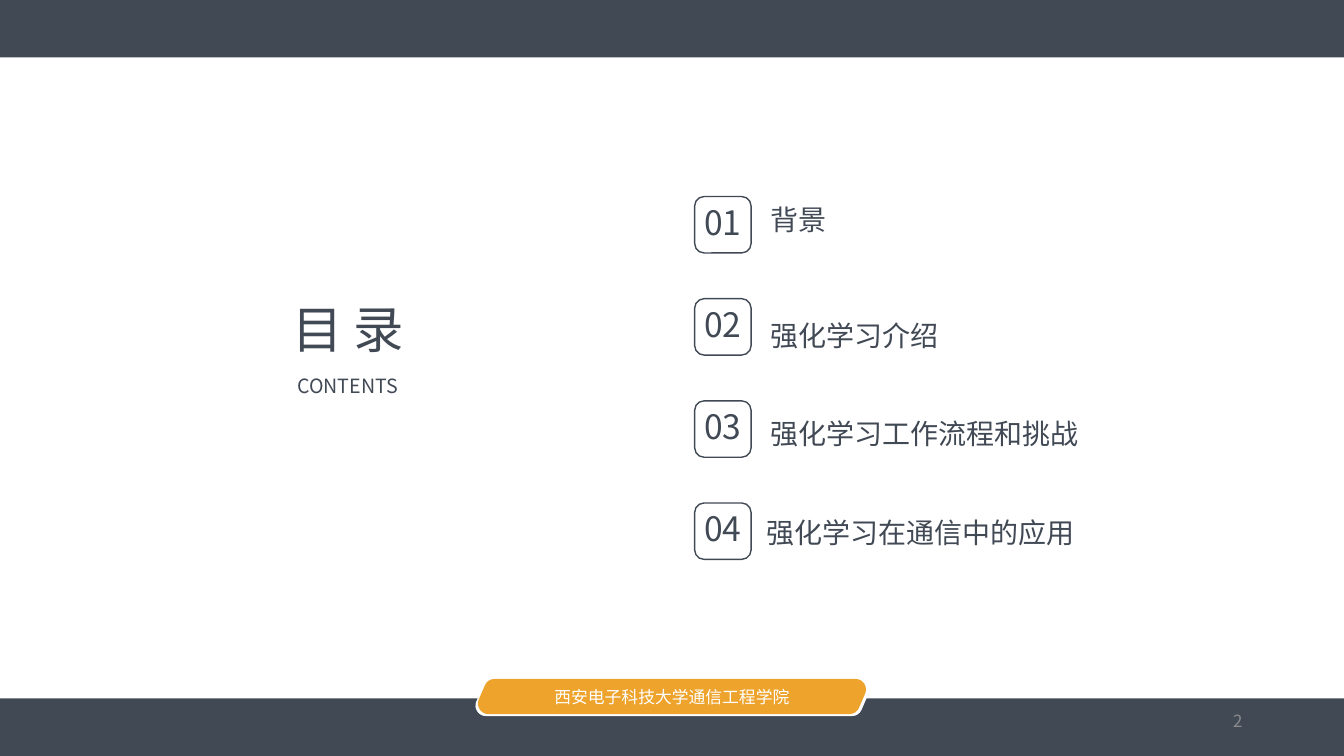
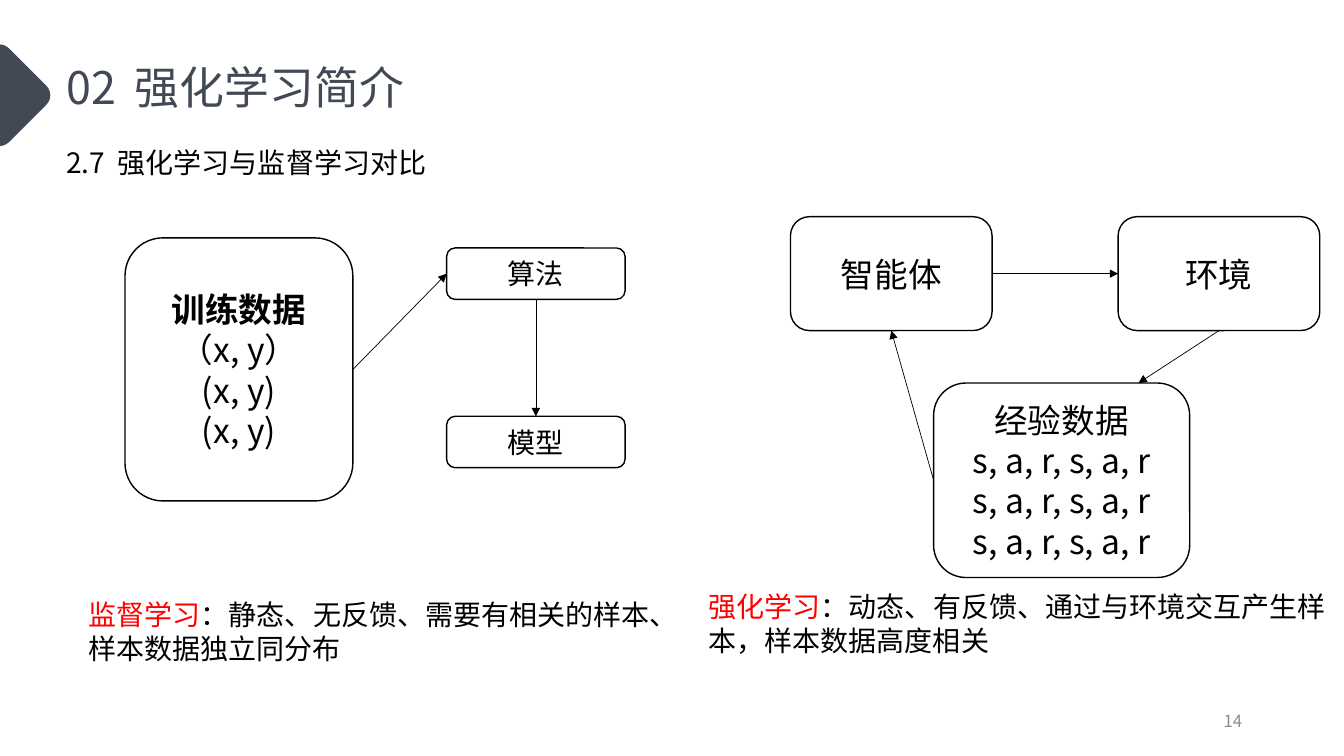
from dataclasses import dataclass

from pptx import Presentation
from pptx.dml.color import RGBColor
from pptx.enum.shapes import MSO_CONNECTOR, MSO_SHAPE
from pptx.enum.text import MSO_ANCHOR, PP_ALIGN
from pptx.oxml.ns import qn
from pptx.util import Inches, Pt
from lxml.etree import SubElement


@dataclass(frozen=True)
class Theme:
    font: str = "Noto Sans CJK SC"
    slate: str = "414955"
    amber: str = "EDA32C"
    white: str = "FFFFFF"
    black: str = "000000"
    red: str = "FF0000"
    grey: str = "8C8C8C"
    cover: int = 36
    title: int = 32
    large: int = 24
    body: int = 20
    caption: int = 14
    small: int = 12


THEME = Theme()
WIDTH, HEIGHT = 13.33, 7.5
BAND = 0.57

# Content: contents slide
HEADING, SUBHEADING = "目 录", "CONTENTS"
SCHOOL = "西安电子科技大学通信工程学院"
# chapter, left, top, line spacing
CHAPTERS = [
    ("背景", 7.54, 1.96, 1),
    ("强化学习介绍", 7.54, 2.86, 1.75),
    ("强化学习工作流程和挑战", 7.54, 3.83, 1.75),
    ("强化学习在通信中的应用", 7.5, 4.81, 1.75),
]
FIRST_BADGE, LAST_BADGE, BADGE = 1.95, 4.99, 0.56

# Content: comparison slide
TITLE, SECTION = "02\t强化学习简介", "2.7\t强化学习与监督学习对比"
# node: lines, (left, top, width, height), size, bold first line
NODES = {
    "training": (["训练数据", "（x, y）", "(x, y)", "(x, y)"],
                 (1.24, 2.36, 2.26, 2.61), THEME.large, True),
    "algorithm": (["算法"], (4.43, 2.46, 1.77, 0.51), THEME.body, False),
    "model": (["模型"], (4.43, 4.13, 1.77, 0.51), THEME.body, False),
    "agent": (["智能体"], (7.84, 2.15, 2, 1.13), THEME.large, False),
    "environment": (["环境"], (11.09, 2.15, 2, 1.13), THEME.large, False),
    "experience": (["经验数据"] + ["s, a, r, s, a, r"] * 3,
                   (9.26, 3.8, 2.54, 1.93), THEME.large, False),
}
# Points on a node as shares of its width and height
LEFT, RIGHT, TOP, BOTTOM = (0, 0.5), (1, 0.5), (0.5, 0), (0.5, 1)
ARROWS = [
    ("training", RIGHT, "algorithm", LEFT),
    ("algorithm", BOTTOM, "model", TOP),
    ("agent", RIGHT, "environment", LEFT),
    ("environment", BOTTOM, "experience", (0.8, 0)),
    ("experience", LEFT, "agent", BOTTOM),
]
SUMMARIES = [
    ("监督学习", "：静态、无反馈、需要有相关的样本、样本数据独立同分布",
     (0.78, 5.88, 6.15, 0.77)),
    ("强化学习", "：动态、有反馈、通过与环境交互产生样本，样本数据高度相关",
     (6.93, 5.8, 6.4, 0.77)),
]


def rgb(color):
    return RGBColor.from_string(color)


def style_run(run, size, color, bold=False):
    run.font.size, run.font.bold = Pt(size), bold
    run.font.name = THEME.font
    run.font.color.rgb = rgb(color)
    SubElement(run._r.get_or_add_rPr(), qn("a:ea")).set("typeface", THEME.font)


def write(shape, lines, size, color, align=PP_ALIGN.LEFT,
          anchor=MSO_ANCHOR.TOP, spacing=None, bold_first=False):
    frame = shape.text_frame
    frame.text = "\n".join(lines)
    frame.word_wrap, frame.vertical_anchor = True, anchor
    for index, paragraph in enumerate(frame.paragraphs):
        paragraph.alignment = align
        if spacing:
            paragraph.line_spacing = spacing
        for run in paragraph.runs:
            style_run(run, size, color, bold_first and index == 0)
    return frame


def add_text(slide, box, text, size, color, **layout):
    holder = slide.shapes.add_textbox(*map(Inches, box))
    return write(holder, [text], size, color, **layout)


def add_block(slide, kind, box, fill=None, line=None, weight=1):
    block = slide.shapes.add_shape(kind, *map(Inches, box))
    block.shadow.inherit = False
    if fill:
        block.fill.solid()
        block.fill.fore_color.rgb = rgb(fill)
    else:
        block.fill.background()
    if line:
        block.line.color.rgb = rgb(line)
        block.line.width = Pt(weight)
        SubElement(block.line._get_or_add_ln(), qn("a:round"))
    else:
        block.line.fill.background()
    return block


def add_arrow(slide, start, end):
    arrow = slide.shapes.add_connector(
        MSO_CONNECTOR.STRAIGHT, *map(Inches, start + end))
    arrow.line.color.rgb = rgb(THEME.black)
    arrow.line.width = Pt(0.5)
    SubElement(arrow.line._get_or_add_ln(), qn("a:tailEnd")).set("type", "triangle")
    SubElement(arrow._element.spPr, qn("a:effectLst"))


def add_tabbed_line(slide, box, text, size, color, stop):
    # The number and its heading are set apart by a tab stop
    paragraph = add_text(slide, box, text, size, color).paragraphs[0]
    stops = SubElement(paragraph._p.get_or_add_pPr(), qn("a:tabLst"))
    tab = SubElement(stops, qn("a:tab"))
    tab.set("pos", str(Inches(stop)))
    tab.set("algn", "l")


def add_page_number(slide, number):
    add_text(slide, (9.42, 6.95, 3, 0.4), str(number), THEME.small, THEME.grey,
             align=PP_ALIGN.RIGHT, anchor=MSO_ANCHOR.MIDDLE)


def point_on(node, share):
    left, top, width, height = NODES[node][1]
    return left + share[0] * width, top + share[1] * height


def build_contents(slide):
    # Bands and school banner
    for top in (0, HEIGHT - BAND):
        add_block(slide, MSO_SHAPE.RECTANGLE, (0, top, WIDTH, BAND), THEME.slate)
    for color, width, top in ((THEME.white, 3.69, 6.86), (THEME.amber, 3.64, 6.84)):
        banner = add_block(slide, MSO_SHAPE.PARALLELOGRAM,
                           ((WIDTH - width) / 2, top, width, 0.14), color, color, 15)
        banner.adjustments[0] = 0.43
    add_text(slide, (5.25, 6.74, 2.83, 0.34), SCHOOL, THEME.small, THEME.white,
             align=PP_ALIGN.CENTER, anchor=MSO_ANCHOR.MIDDLE)

    # Heading
    add_text(slide, (2.8, 2.91, 1.55, 0.71), HEADING, THEME.cover, THEME.slate,
             align=PP_ALIGN.JUSTIFY)
    add_text(slide, (2.85, 3.66, 1.43, 0.34), SUBHEADING, THEME.caption,
             THEME.slate, align=PP_ALIGN.JUSTIFY)

    # Numbered chapters
    step = (LAST_BADGE - FIRST_BADGE) / (len(CHAPTERS) - 1)
    for index, (chapter, left, top, spacing) in enumerate(CHAPTERS):
        badge = add_block(slide, MSO_SHAPE.ROUNDED_RECTANGLE,
                          (6.89, FIRST_BADGE + index * step, BADGE, BADGE),
                          line=THEME.slate)
        frame = write(badge, [f"{index + 1:02d}"], THEME.large, THEME.slate,
                      PP_ALIGN.CENTER, MSO_ANCHOR.MIDDLE)
        frame.margin_left = frame.margin_right = frame.margin_top = 0
        frame.margin_bottom = Inches(0.06)
        add_text(slide, (left, top, 4.16, 0.59), chapter, THEME.body,
                 THEME.slate, spacing=spacing)


def build_comparison(slide):
    # Title and section
    marker = add_block(slide, MSO_SHAPE.ROUNDED_RECTANGLE,
                       (-0.4, 0.55, 0.79, 0.79), THEME.slate)
    marker.rotation = 45
    add_tabbed_line(slide, (0.56, 0.54, 3.75, 0.64), TITLE, THEME.title,
                    THEME.slate, 0.68)
    add_tabbed_line(slide, (0.56, 1.39, 6.9, 0.44), SECTION, THEME.body,
                    THEME.black, 0.51)

    # Learning loops
    for lines, box, size, bold_first in NODES.values():
        node = add_block(slide, MSO_SHAPE.ROUNDED_RECTANGLE, box,
                         THEME.white, THEME.black)
        write(node, lines, size, THEME.black, PP_ALIGN.CENTER,
              MSO_ANCHOR.MIDDLE, bold_first=bold_first)
    for source, leaving, target, entering in ARROWS:
        add_arrow(slide, point_on(source, leaving), point_on(target, entering))

    # Summaries
    for term, detail, box in SUMMARIES:
        frame = add_text(slide, box, term, THEME.body, THEME.red)
        run = frame.paragraphs[0].add_run()
        run.text = detail
        style_run(run, THEME.body, THEME.black)


def main():
    deck = Presentation()
    deck.slide_width, deck.slide_height = Inches(WIDTH), Inches(HEIGHT)
    for build, number in ((build_contents, 2), (build_comparison, 14)):
        slide = deck.slides.add_slide(deck.slide_layouts[6])
        build(slide)
        add_page_number(slide, number)
    deck.save("out.pptx")


if __name__ == "__main__":
    main()
